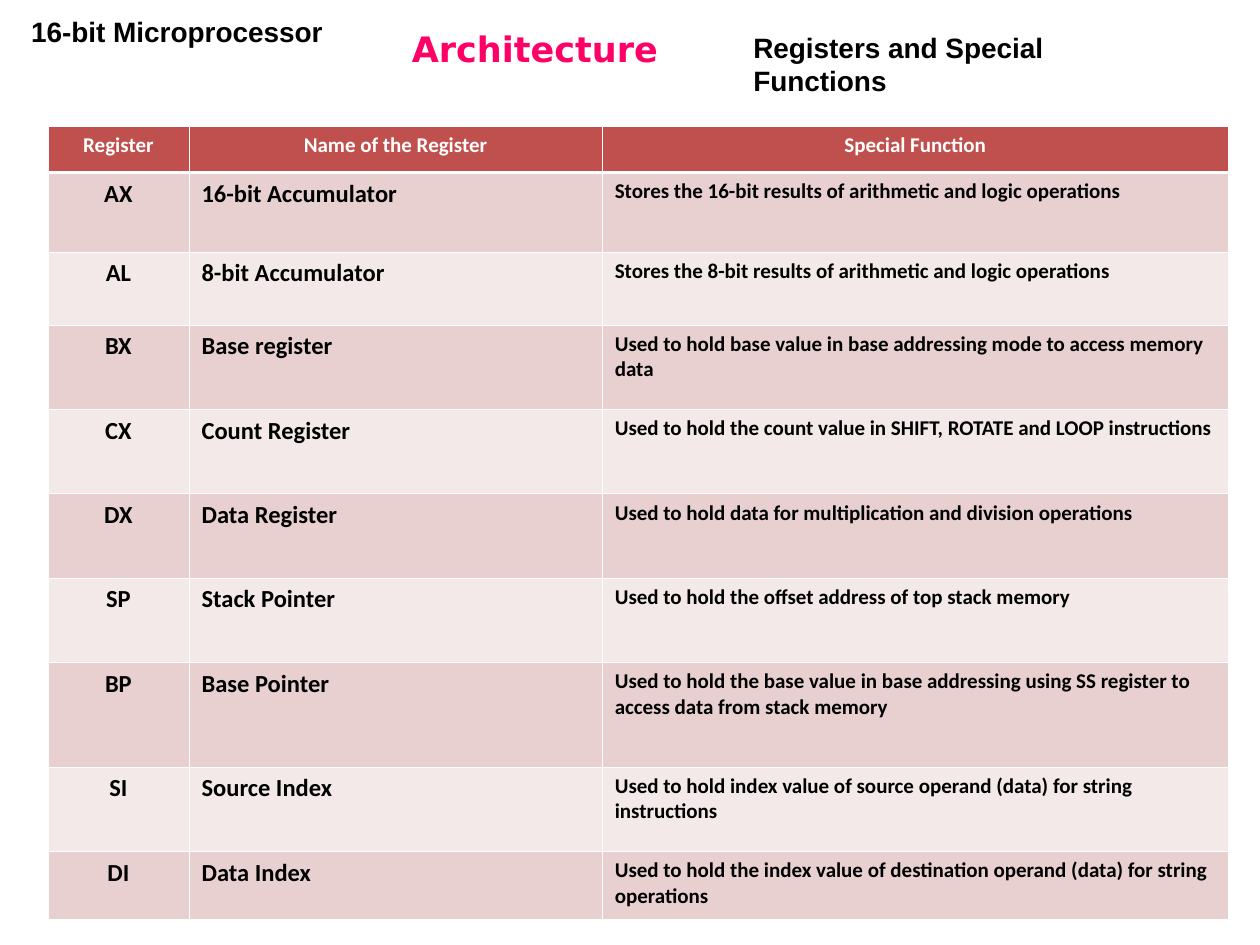
from pptx import Presentation
from pptx.dml.color import RGBColor
from pptx.enum.text import MSO_ANCHOR, MSO_AUTO_SIZE, PP_ALIGN
from pptx.util import Inches, Pt
from lxml.etree import SubElement
from pptx.oxml.ns import qn

BLACK = RGBColor(0x00, 0x00, 0x00)
WHITE = RGBColor(0xFF, 0xFF, 0xFF)
PINK = RGBColor(0xFF, 0x00, 0x66)
RED = RGBColor(0xC0, 0x50, 0x4D)
ROSE = RGBColor(0xE8, 0xD0, 0xD0)
PALE = RGBColor(0xF4, 0xE9, 0xE9)

# Content: header row, then row height and texts of each register
HEAD = ("Register", "Name of the Register", "Special Function")
REGS = [
    (0.63, "AX", "16-bit Accumulator",
     "Stores the 16-bit results of arithmetic and logic operations"),
    (0.58, "AL", "8-bit Accumulator",
     "Stores the 8-bit results of arithmetic and logic operations"),
    (0.67, "BX", "Base register",
     "Used to hold base value in base addressing mode to access memory data"),
    (0.67, "CX", "Count Register",
     "Used to hold the count value in SHIFT, ROTATE and LOOP instructions"),
    (0.67, "DX", "Data Register",
     "Used to hold data for multiplication and division operations"),
    (0.67, "SP", "Stack Pointer",
     "Used to hold the offset address of top stack memory"),
    (0.83, "BP", "Base Pointer",
     "Used to hold the base value in base addressing using SS register "
     "to access data from stack memory"),
    (0.67, "SI", "Source Index",
     "Used to hold index value of source operand (data) for string instructions"),
    (0.54, "DI", "Data Index",
     "Used to hold the index value of destination operand (data) "
     "for string operations"),
]
ROWS = [(0.37, *HEAD)] + REGS
COLS = (1.12, 3.28, 4.97)
THIN, THICK = 0.45, 1.47

# Headings: text, box, wrap, anchor, fit, format
FIT, FIXED = MSO_AUTO_SIZE.SHAPE_TO_FIT_TEXT, MSO_AUTO_SIZE.NONE
TITLES = [
    ("Architecture", (3.17, 0.12, 6.58, 0.53), True, MSO_ANCHOR.MIDDLE, FIXED,
     dict(size=20, font="DejaVu Sans", color=PINK)),
    ("16-bit Microprocessor", (0.07, 0.07, 2.67, 0.37), True, MSO_ANCHOR.TOP,
     FIT, dict(size=16, font="Arial", align=PP_ALIGN.CENTER)),
    ("Registers and Special Functions", (5.88, 0.19, 3.62, 0.37), False,
     MSO_ANCHOR.TOP, FIT, dict(size=16, font="Arial")),
]


def write(frame, text, size=12, font="Calibri", color=BLACK,
          align=PP_ALIGN.LEFT):
    para = frame.paragraphs[0]
    para.alignment = align
    run = para.add_run()
    run.text = text
    run.font.size = Pt(size)
    run.font.name = font
    run.font.bold = True
    run.font.color.rgb = color


def border(cell, top, base):
    props = cell._tc.get_or_add_tcPr()
    for side, width in (("L", THIN), ("R", THIN), ("T", top), ("B", base)):
        line = SubElement(props, qn("a:ln" + side), w=str(int(Pt(width))))
        fill = SubElement(line, qn("a:solidFill"))
        SubElement(fill, qn("a:srgbClr"), val=str(WHITE))


deck = Presentation()
deck.slide_width, deck.slide_height = Inches(10), Inches(7.5)
slide = deck.slides.add_slide(deck.slide_layouts[6])

# Headings
for text, box, wrap, anchor, fit, style in TITLES:
    frame = slide.shapes.add_textbox(*map(Inches, box)).text_frame
    frame.word_wrap = wrap
    frame.auto_size = fit
    frame.vertical_anchor = anchor
    write(frame, text, **style)

# Register table
high = sum(row[0] for row in ROWS)
table = slide.shapes.add_table(
    len(ROWS), len(COLS), Inches(0.38), Inches(1),
    Inches(sum(COLS)), Inches(high)).table
for col, width in zip(table.columns, COLS):
    col.width = Inches(width)
for r, (height, *texts) in enumerate(ROWS):
    table.rows[r].height = Inches(height)
    for c, text in enumerate(texts):
        cell = table.cell(r, c)
        border(cell, THICK if r == 1 else THIN, THICK if r == 0 else THIN)
        cell.fill.solid()
        cell.fill.fore_color.rgb = RED if r == 0 else ROSE if r % 2 else PALE
        write(cell.text_frame, text,
              size=12 if r == 0 or c == 2 else 14,
              color=BLACK if r else WHITE,
              align=PP_ALIGN.CENTER if r == 0 or c == 0 else PP_ALIGN.LEFT)

deck.save("out.pptx")
